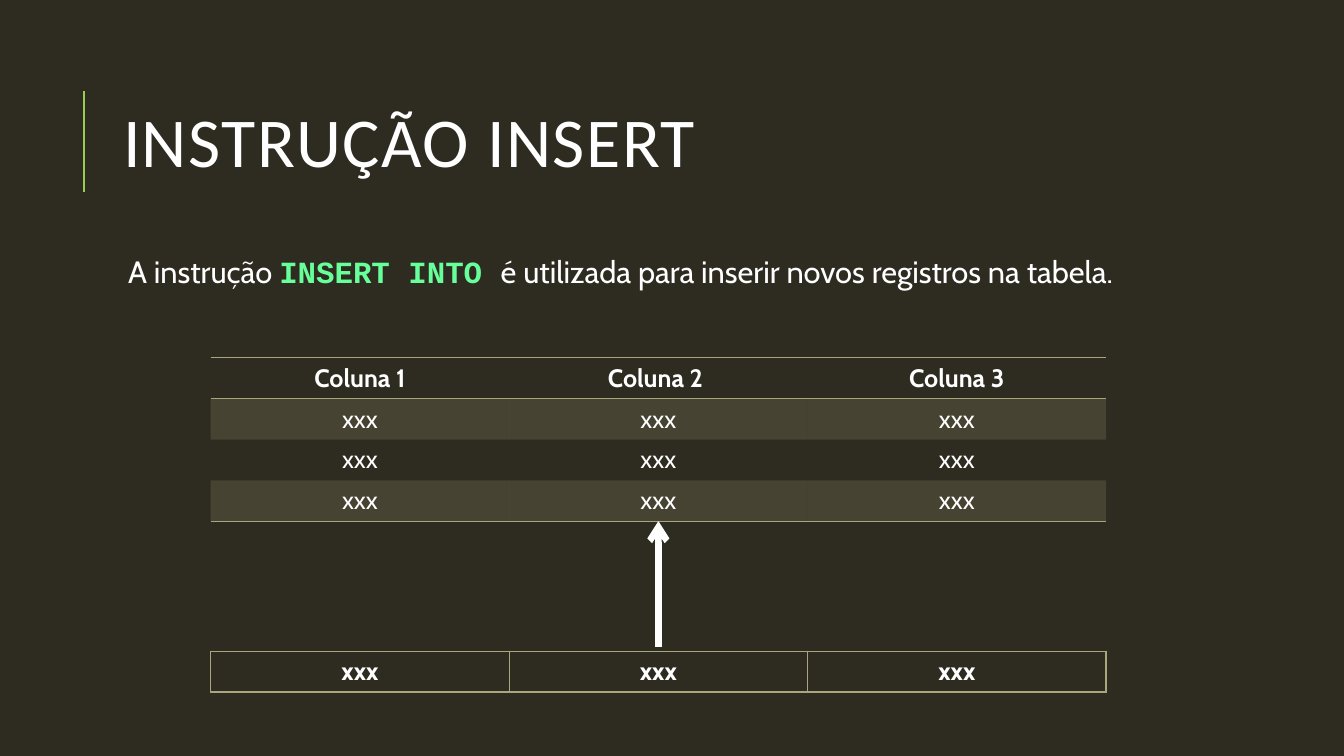
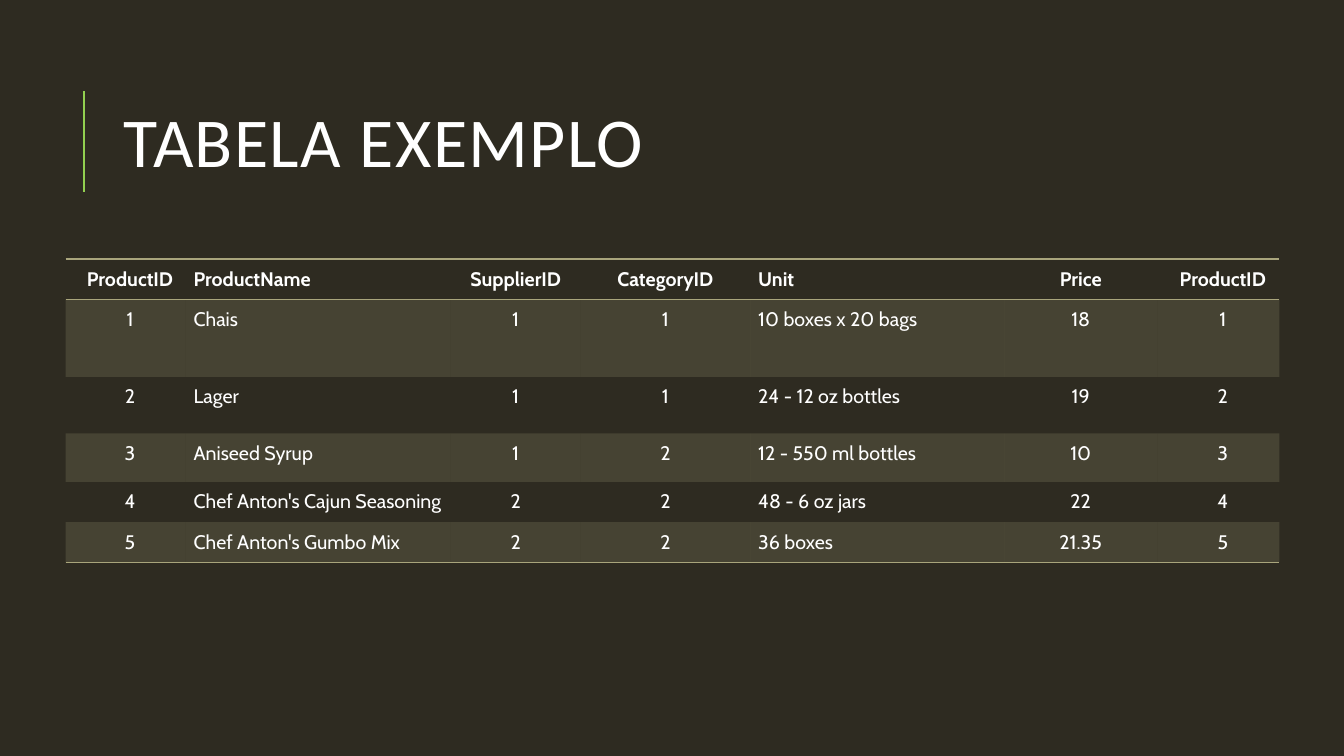
from lxml import etree
from pptx import Presentation
from pptx.dml.color import RGBColor
from pptx.enum.shapes import MSO_CONNECTOR
from pptx.enum.text import MSO_ANCHOR, MSO_AUTO_SIZE, PP_ALIGN
from pptx.oxml.ns import qn
from pptx.util import Inches, Pt

STRAIGHT = MSO_CONNECTOR.STRAIGHT
LEFT, CENTER = PP_ALIGN.LEFT, PP_ALIGN.CENTER
MIDDLE, TOP = MSO_ANCHOR.MIDDLE, MSO_ANCHOR.TOP
NO_AUTOFIT = MSO_AUTO_SIZE.NONE

COLORS = {
    "background": "2E2B21",
    "text": "FFFFFF",
    "accent": "92D050",
    "keyword": "66FF99",
    "table": "A9A57C",
}
TITLE_FONT, BODY_FONT, CODE_FONT = "Calibri", "Cabin", "Courier New"
TITLE_AND_CONTENT, TITLE_ONLY = 1, 5
NO_STYLE_NO_GRID = "{2D5ABB26-0587-4C30-8999-92F81FD0307C}"
BAND_ALPHA = 20000
RULE_WIDTH = 1


def color(name):
    return RGBColor.from_string(COLORS[name])


def style_font(font, name, size, bold=False, color_name="text"):
    values = {"name": name, "size": Pt(size), "bold": bold}
    for attribute, value in values.items():
        setattr(font, attribute, value)
    font.color.rgb = color(color_name)


def place(shape, left, top, width, height):
    box = {"left": left, "top": top, "width": width, "height": height}
    for attribute, value in box.items():
        setattr(shape, attribute, Inches(value))


def add_line(slide, start, end, color_name, width, arrow=False):
    line = slide.shapes.add_connector(
        STRAIGHT, *(Inches(value) for value in (*start, *end)))
    line.line.color.rgb = color(color_name)
    line.line.width = Pt(width)
    properties = line._element.spPr
    if arrow:
        etree.SubElement(properties.find(qn("a:ln")), qn("a:tailEnd"), type="arrow")
    etree.SubElement(properties, qn("a:effectLst"))


def add_titled_slide(prs, layout, text):
    """Slide with the accent line and the shared title style."""
    slide = prs.slides.add_slide(prs.slide_layouts[layout])
    add_line(slide, (0.83, 1.9), (0.83, 0.9), "accent", 1.5)
    title = slide.shapes.title
    place(title, 1.12, 0.64, 10.63, 1.64)
    frame = title.text_frame
    frame.text = text
    frame.auto_size = NO_AUTOFIT
    frame.vertical_anchor = MIDDLE
    paragraph = frame.paragraphs[0]
    paragraph.alignment = LEFT
    paragraph.line_spacing = 0.8
    run = paragraph.runs[0]
    style_font(run.font, TITLE_FONT, 50)
    run._r.get_or_add_rPr().set("spc", "100")
    return slide


def fill_body(slide, runs):
    """Body paragraph built from (text, is_keyword) pairs."""
    body = slide.placeholders[1]
    place(body, 1.12, 2.5, 10.63, 4.4)
    frame = body.text_frame
    frame.auto_size = NO_AUTOFIT
    frame.vertical_anchor = TOP
    for side in ("left", "top", "right", "bottom"):
        setattr(frame, f"margin_{side}", Inches(0.05))
    paragraph = frame.paragraphs[0]
    properties = paragraph._p.get_or_add_pPr()
    properties.set("marL", str(Inches(0.1)))
    properties.set("indent", "0")
    etree.SubElement(properties, qn("a:buNone"))
    paragraph.line_spacing = 0.9
    paragraph.space_before = Pt(0)
    paragraph.space_after = Pt(2)
    for text, is_keyword in runs:
        run = paragraph.add_run()
        run.text = text
        if is_keyword:
            style_font(run.font, CODE_FONT, 22, True, "keyword")
        else:
            style_font(run.font, BODY_FONT, 22)


def set_borders(cell, widths):
    """Widths in points by side; sides are written in schema order."""
    properties = cell._tc.get_or_add_tcPr()
    for side in "LRTB":
        if side in widths:
            line = etree.SubElement(
                properties, qn(f"a:ln{side}"), w=str(Pt(widths[side])))
            fill = etree.SubElement(line, qn("a:solidFill"))
            etree.SubElement(fill, qn("a:srgbClr"), val=COLORS["table"])


def fill_band(cell):
    cell.fill.solid()
    cell.fill.fore_color.rgb = color("table")
    tint = cell._tc.tcPr.find(qn("a:solidFill")).find(qn("a:srgbClr"))
    etree.SubElement(tint, qn("a:alpha"), val=str(BAND_ALPHA))


def ruled_borders(row, last_row):
    """Rules around the header row and under the last row."""
    if row == 0:
        return {"T": RULE_WIDTH, "B": RULE_WIDTH}
    return {"B": RULE_WIDTH} if row == last_row else {}


def boxed_borders(row, last_row):
    return {"L": RULE_WIDTH, "R": RULE_WIDTH, "T": RULE_WIDTH, "B": 2 * RULE_WIDTH}


def add_data_table(slide, left, top, widths, heights, rows, size,
                   borders=ruled_borders, left_columns=(), margin=None,
                   indented_columns=()):
    """Table with a bold first row and tinted odd rows."""
    frame = slide.shapes.add_table(
        len(rows), len(widths), Inches(left), Inches(top),
        Inches(sum(widths)), Inches(sum(heights)))
    table = frame.table
    table._tbl.tblPr.find(qn("a:tableStyleId")).text = NO_STYLE_NO_GRID
    for column, width in zip(table.columns, widths):
        column.width = Inches(width)
    for row_index, (height, texts) in enumerate(zip(heights, rows)):
        table.rows[row_index].height = Inches(height)
        for column_index, text in enumerate(texts):
            cell = table.cell(row_index, column_index)
            cell.text = text
            if margin is not None:
                for side in ("left", "top", "right", "bottom"):
                    setattr(cell, f"margin_{side}", Inches(margin))
            if column_index in indented_columns:
                cell.margin_left = Inches(0.17)
            paragraph = cell.text_frame.paragraphs[0]
            paragraph.alignment = LEFT if column_index in left_columns else CENTER
            style_font(paragraph.runs[0].font, BODY_FONT, size, row_index == 0)
            set_borders(cell, borders(row_index, len(rows) - 1))
            if row_index % 2:
                fill_band(cell)
            else:
                cell.fill.background()


def build_insert_slide(prs):
    slide = add_titled_slide(prs, TITLE_AND_CONTENT, "INSTRUÇÃO INSERT")
    fill_body(slide, [
        ("A instrução ", False),
        ("INSERT INTO ", True),
        ("é utilizada para inserir novos registros na tabela.", False),
    ])
    # Existing table, and the new record that goes into it
    left, row_height = 2.09, 0.4
    widths = [2.96] * 3
    record = ["xxx"] * 3
    header = ["Coluna 1", "Coluna 2 ", "Coluna 3"]
    rows = [header] + [record] * 3
    add_data_table(slide, left, 3.55, widths, [row_height] * 4, rows, 18)
    add_data_table(slide, left, 6.46, widths, [row_height], [record], 18,
                   boxed_borders)
    middle = left + sum(widths) / 2
    add_line(slide, (middle, 6.42), (middle, 5.17), "text", 4.5, arrow=True)


def build_example_slide(prs):
    slide = add_titled_slide(prs, TITLE_ONLY, "TABELA EXEMPLO")
    header = ["ProductID", "ProductName", "SupplierID", "CategoryID",
              "Unit", "Price"]
    products = [
        ["1", "Chais", "1", "1", "10 boxes x 20 bags", "18"],
        ["2", "Lager", "1", "1", "24 - 12 oz bottles", "19"],
        ["3", "Aniseed Syrup", "1", "2", "12 - 550 ml bottles", "10"],
        ["4", "Chef Anton's Cajun Seasoning", "2", "2", "48 - 6 oz jars", "22"],
        ["5", "Chef Anton's Gumbo Mix", "2", "2", "36 boxes", "21.35"],
    ]
    # The product number closes each row as well
    rows = [row + row[:1] for row in [header] + products]
    add_data_table(
        slide, 0.65, 2.57, [1.19, 2.63, 1.29, 1.68, 2.52, 1.52, 1.21],
        [0.4, 0.77, 0.56, 0.48, 0.4, 0.4], rows, 14,
        left_columns=(1, 4), margin=0.08, indented_columns=(0, 6))


def main():
    prs = Presentation()
    prs.slide_width, prs.slide_height = Inches(13.33), Inches(7.5)
    background = prs.slide_master.background.fill
    background.solid()
    background.fore_color.rgb = color("background")
    build_insert_slide(prs)
    build_example_slide(prs)
    prs.save("out.pptx")


if __name__ == "__main__":
    main()
